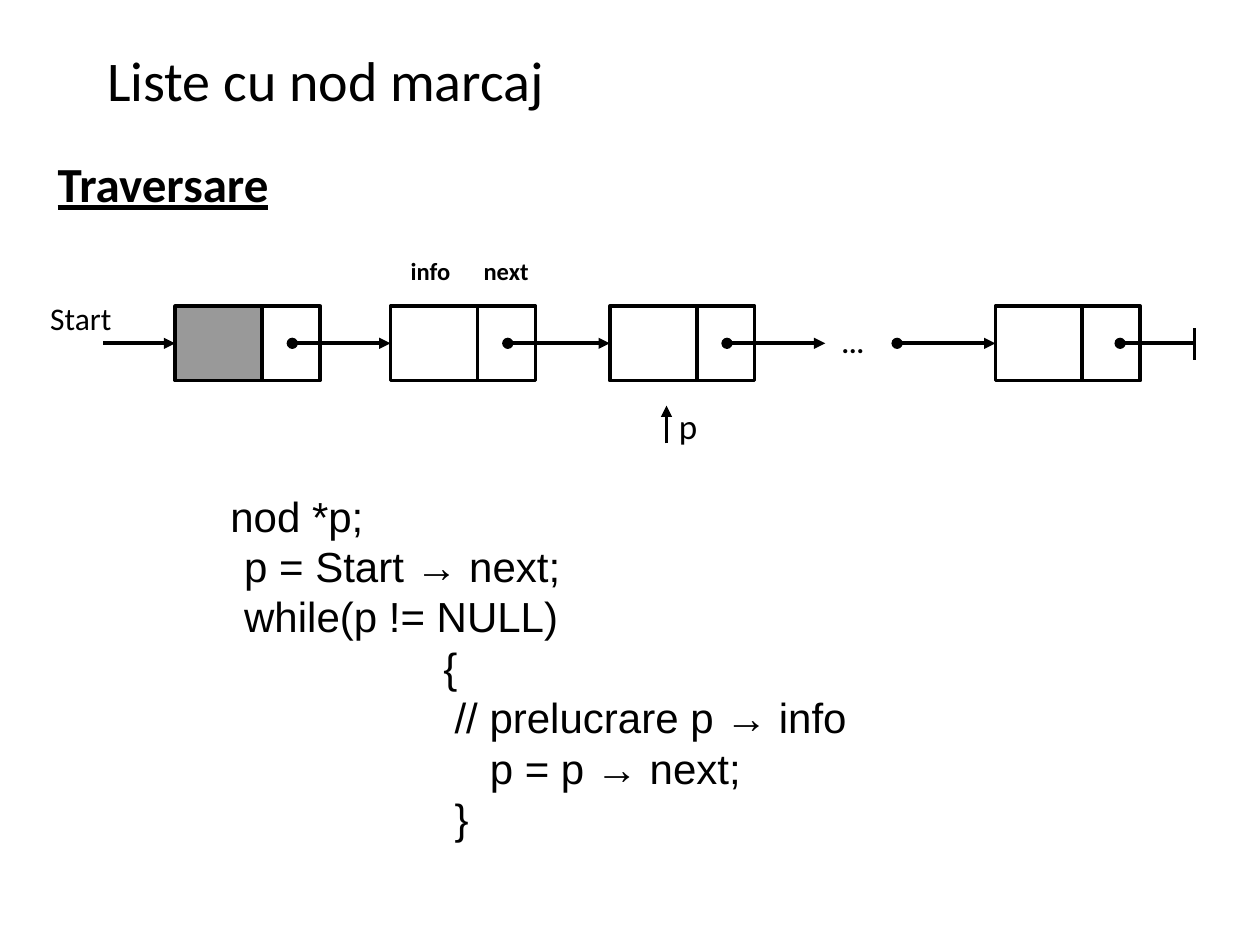
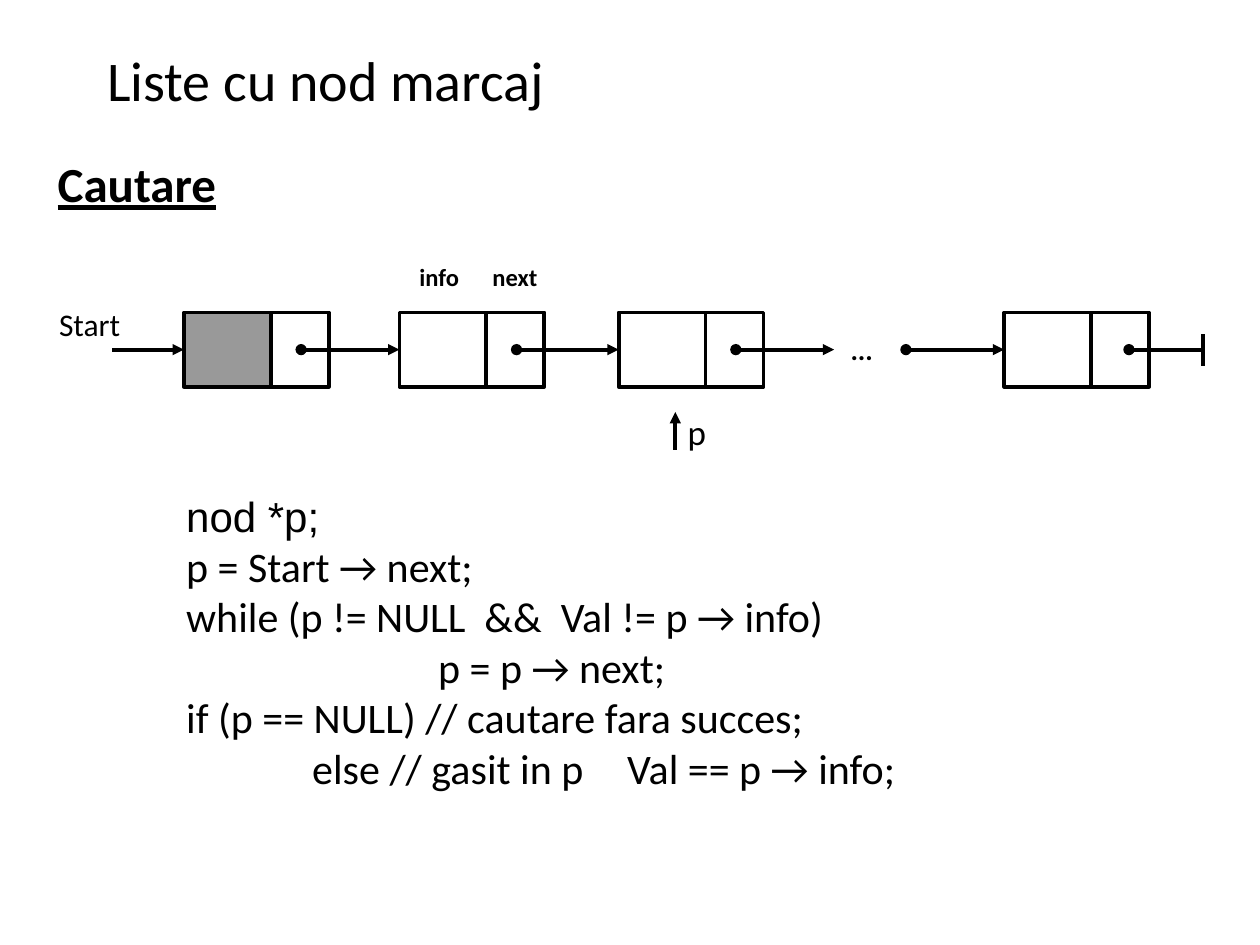
"""Build two slides on traversing and searching a linked list with a sentinel node."""
from lxml import etree
from pptx import Presentation
from pptx import util as u
from pptx.dml.color import RGBColor
from pptx.enum import shapes, text
from pptx.oxml import ns

COLORS = {"ink": "000000", "sentinel": "999999", "background": "FFFFFF"}
TITLE = "Liste cu nod marcaj"
LINE_WIDTH = 2.15
CODE_SIZE = 24

SLIDES = [
    {
        "heading": "Traversare",
        "list_origin": (1.39, 2.43),
        "code": [
            ("nod *p;", 0.35, "Arial"),
            ("p = Start → next;", 0.46, "Arial"),
            ("while(p != NULL)", 0.46, "Arial"),
            ("{", 2.04, "Arial"),
            ("// prelucrare p → info", 2.13, "Arial"),
            ("p = p → next;", 2.41, "Arial"),
            ("}", 2.13, "Arial"),
        ],
    },
    {
        "heading": "Cautare",
        "list_origin": (1.46, 2.48),
        "code": [
            ("nod *p;", 0, "Arial"),
            ("p = Start → next;", 0, "Calibri"),
            ("while (p != NULL  &&  Val != p → info)", 0, "Calibri"),
            ("p = p → next;", 2, "Calibri"),
            ("if (p == NULL) // cautare fara succes;", 0, "Calibri"),
            ("else // gasit in p\tVal == p → info;", 1, "Calibri"),
        ],
    },
]

NODE_OFFSETS = [0, 1.71, 3.45, 6.51]
INFO_WIDTH, NEXT_WIDTH, NODE_HEIGHT = 0.69, 0.46, 0.59
POINTER_OFFSET, POINTER_LENGTH = 0.93, 0.78

LABELS = [
    ("Start", (-1.09, -0.11, 0.92, 0.41), {"size": 18}),
    ("info", (1.77, -0.45, 0.62, 0.38), {"size": 14, "bold": True}),
    ("next", (2.35, -0.45, 0.76, 0.38), {"size": 14, "bold": True}),
    ("p", (3.9, 0.73, 0.35, 0.42), {"size": 20}),
    ("...", (5.29, 0.13, 0.29, 0.32),
     {"size": 16, "bold": True, "anchor": text.MSO_ANCHOR.MIDDLE, "margins": (0, 0)}),
]


def color(name):
    return RGBColor.from_string(COLORS[name])


def format_run(run, font="Calibri", size=18, bold=False, underline=False):
    run.font.name = font
    run.font.size = u.Pt(size)
    run.font.bold = bold
    run.font.underline = underline
    run.font.color.rgb = color("ink")


def write(shape, content, anchor=text.MSO_ANCHOR.TOP, margins=(0.1, 0.05), **font_format):
    frame = shape.text_frame
    frame.word_wrap = True
    frame.auto_size = text.MSO_AUTO_SIZE.NONE
    frame.vertical_anchor = anchor
    frame.margin_left = frame.margin_right = u.Inches(margins[0])
    frame.margin_top = frame.margin_bottom = u.Inches(margins[1])
    paragraph = frame.paragraphs[0]
    paragraph.alignment = text.PP_ALIGN.LEFT
    run = paragraph.add_run()
    run.text = content
    format_run(run, **font_format)


def add_text(slide, content, box, **text_format):
    shape = slide.shapes.add_textbox(*map(u.Inches, box))
    write(shape, content, **text_format)


def add_code(slide, lines):
    frame = slide.shapes.add_textbox(*map(u.Inches, (1.38, 3.84, 6.94, 2.89))).text_frame
    frame.word_wrap = True
    for index, (content, indent, font) in enumerate(lines):
        paragraph = frame.add_paragraph() if index else frame.paragraphs[0]
        paragraph.line_spacing = u.Pt(1.2 * CODE_SIZE)
        properties = paragraph._p.get_or_add_pPr()
        properties.set("marL", str(u.Inches(indent)))
        properties.set("indent", "0")
        run = paragraph.add_run()
        run.text = content
        format_run(run, font=font, size=CODE_SIZE)


def add_cell(slide, left, top, width, fill=None):
    cell = slide.shapes.add_shape(
        shapes.MSO_SHAPE.RECTANGLE, *map(u.Inches, (left, top, width, NODE_HEIGHT)))
    cell.shadow.inherit = False
    if fill:
        cell.fill.solid()
        cell.fill.fore_color.rgb = color(fill)
    else:
        cell.fill.background()
    cell.line.color.rgb = color("ink")
    cell.line.width = u.Pt(LINE_WIDTH)
    return cell


def add_line(slide, start, end, head=None, tail=None, target=None):
    line = slide.shapes.add_connector(
        shapes.MSO_CONNECTOR.STRAIGHT, *map(u.Inches, (*start, *end)))
    line.line.color.rgb = color("ink")
    line.line.width = u.Pt(LINE_WIDTH)
    outline = line.line._get_or_add_ln()
    for tag, kind in (("a:headEnd", head), ("a:tailEnd", tail)):
        if kind:
            etree.SubElement(outline, ns.qn(tag), type=kind)
    etree.SubElement(line._element.spPr, ns.qn("a:effectLst"))
    if target:
        line.end_connect(target, 1)


def add_linked_list(slide, left, top):
    middle = top + NODE_HEIGHT / 2
    node_lefts = [left + offset for offset in NODE_OFFSETS]
    info_cells = []
    for index, node_left in enumerate(node_lefts):
        fill = None if index else "sentinel"
        info_cells.append(add_cell(slide, node_left, top, INFO_WIDTH, fill))
        add_cell(slide, node_left + INFO_WIDTH, top, NEXT_WIDTH)

    first, second, third, last = node_lefts
    add_line(slide, (first - 0.57, middle), (first, middle),
             tail="triangle", target=info_cells[0])
    pointers = [
        (first + POINTER_OFFSET, info_cells[1]),
        (second + POINTER_OFFSET, info_cells[2]),
        (third + POINTER_OFFSET, None),
        (last - POINTER_LENGTH, info_cells[3]),
    ]
    for start, target in pointers:
        add_line(slide, (start, middle), (start + POINTER_LENGTH, middle),
                 head="oval", tail="triangle", target=target)

    list_end = last + 1.58
    add_line(slide, (last + 0.99, middle), (list_end, middle), head="oval")
    add_line(slide, (list_end, middle - 0.12), (list_end, middle + 0.13))
    cursor = left + 3.9
    add_line(slide, (cursor, top + 1.09), (cursor, top + 0.79), tail="triangle")

    for content, (x, y, width, height), label_format in LABELS:
        add_text(slide, content, (left + x, top + y, width, height), **label_format)


def add_slide(presentation, heading, list_origin, code):
    slide = presentation.slides.add_slide(presentation.slide_layouts[5])
    slide.background.fill.solid()
    slide.background.fill.fore_color.rgb = color("background")
    title = slide.shapes.title
    title.left, title.top, title.width, title.height = map(u.Inches, (0.75, 0.34, 8.49, 0.57))
    write(title, TITLE, size=32, anchor=text.MSO_ANCHOR.MIDDLE)
    add_text(slide, heading, (0.36, 1.17, 3.14, 0.57), size=28, bold=True,
             underline=True, anchor=text.MSO_ANCHOR.MIDDLE)
    add_linked_list(slide, *list_origin)
    add_code(slide, code)


def main():
    presentation = Presentation()
    presentation.slide_width, presentation.slide_height = u.Inches(10), u.Inches(7.5)
    for content in SLIDES:
        add_slide(presentation, **content)
    presentation.save("out.pptx")


if __name__ == "__main__":
    main()
